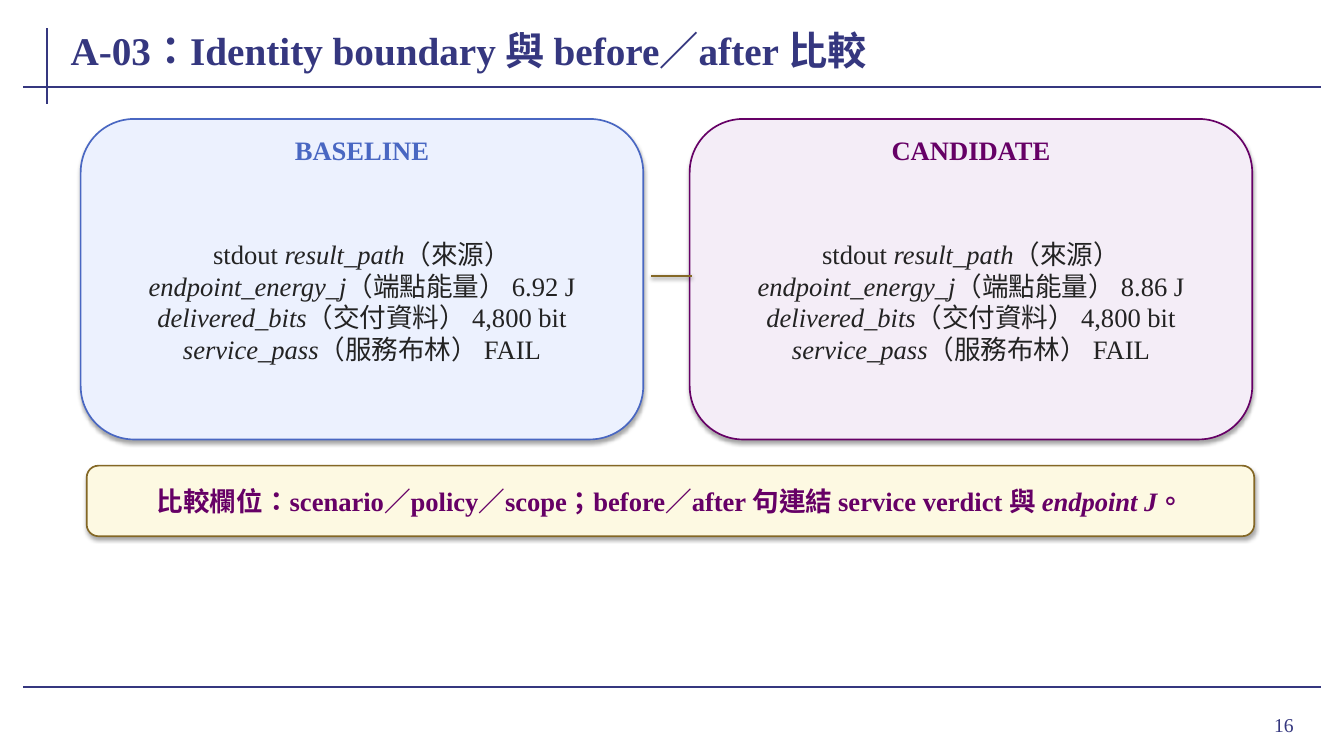
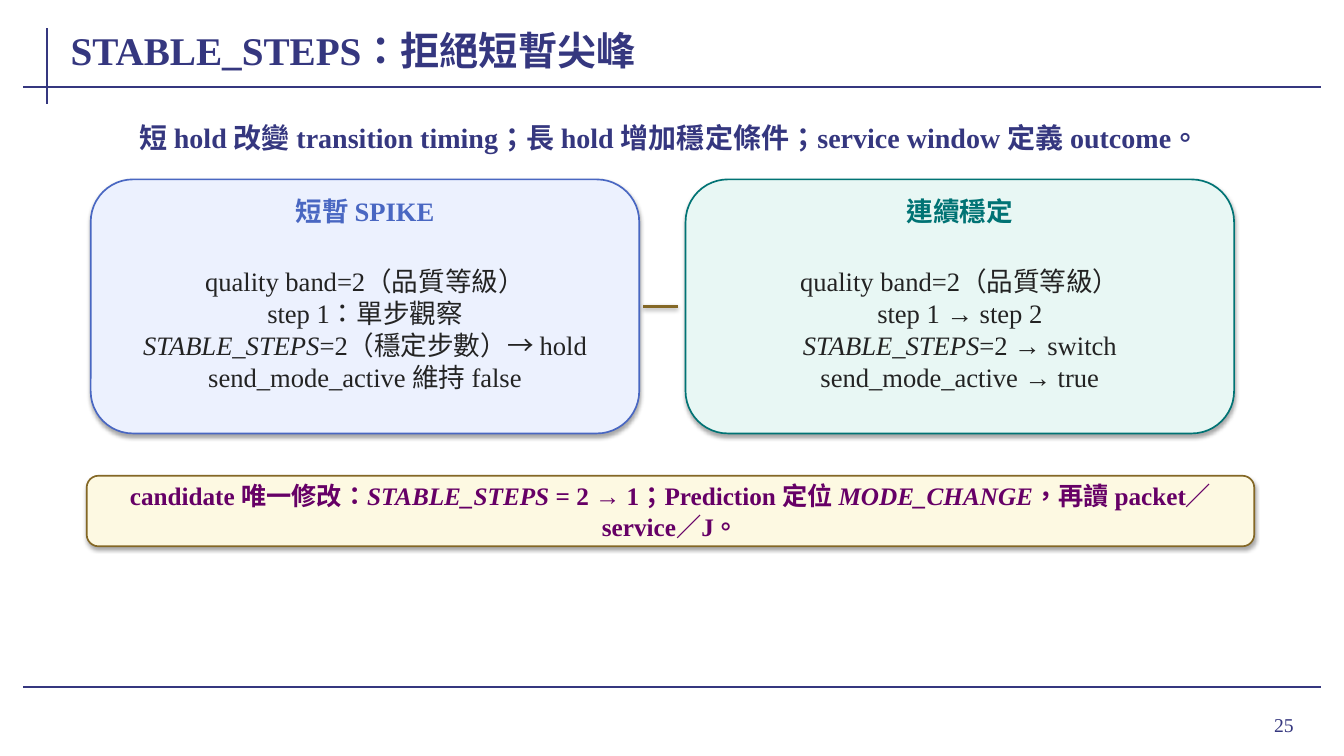
import pptx
import pptx.util
import pptx.dml.color
import pptx.enum.dml
import pptx.enum.lang
import pptx.enum.shapes
import pptx.enum.text
import pptx.oxml
import pptx.oxml.ns
from dataclasses import dataclass

Inches, Pt = pptx.util.Inches, pptx.util.Pt
RGB = pptx.dml.color.RGBColor.from_string
PP_ALIGN = pptx.enum.text.PP_ALIGN
AUTO_SIZE = pptx.enum.text.MSO_AUTO_SIZE


@dataclass(frozen=True)
class Theme:
    font: str = "Times New Roman"
    navy: str = "35377F"
    ink: str = "232323"
    blue: str = "4967C2"
    blue_fill: str = "ECF1FE"
    purple: str = "660066"
    purple_fill: str = "F4EDF7"
    teal: str = "007374"
    teal_fill: str = "E8F7F4"
    gold: str = "846826"
    gold_fill: str = "FDF9E2"
    title: int = 28
    lead: int = 20
    body: int = 19
    number: int = 14


T = Theme()


def write(sp, lines, size, color, bold=False, align=PP_ALIGN.CENTER, inset=(0.08, 0.04), fit=AUTO_SIZE.SHAPE_TO_FIT_TEXT):
    """Fill a shape with paragraphs; text between asterisks is italic."""
    tf = sp.text_frame
    tf.word_wrap = True
    tf.auto_size = fit
    tf.vertical_anchor = pptx.enum.text.MSO_ANCHOR.MIDDLE
    tf.margin_left = tf.margin_right = Inches(inset[0])
    tf.margin_top = tf.margin_bottom = Inches(inset[1])
    for i, line in enumerate(lines):
        p = tf.add_paragraph() if i else tf.paragraphs[0]
        p.alignment = align
        p.font.name, p.font.size, p.font.bold = T.font, Pt(size), bold
        p.font.color.rgb = RGB(color)
        p.font.language_id = pptx.enum.lang.MSO_LANGUAGE_ID.TRADITIONAL_CHINESE
        for j, piece in enumerate(line.split("*")):
            if piece:
                r = p.add_run()
                r.text = piece
                if j % 2:
                    r.font.italic = True


def outline(sp, color, width, shadow=None):
    """Set the line, then a downward shadow (opacity %, distance pt) or none."""
    sp.line.color.rgb = RGB(color)
    sp.line.width = Pt(width)
    effect = ""
    if shadow:
        opacity, distance = shadow
        effect = (f'<a:outerShdw blurRad="{Pt(3.1)}" dist="{Pt(distance)}" dir="5400000" rotWithShape="0">'
                  f'<a:srgbClr val="000000"><a:alpha val="{opacity * 1000}"/></a:srgbClr></a:outerShdw>')
    sp.element.spPr.append(pptx.oxml.parse_xml(
        f'<a:effectLst {pptx.oxml.ns.nsdecls("a")}>{effect}</a:effectLst>'))


# Slide content
slides = [
    dict(
        number="16", title="A-03：Identity boundary 與 before／after 比較", lead=None,
        left=0.8, top=1.18, width=5.58, height=3.18,
        link=(6.46, 6.86, 2.74),
        panels=[
            ("BASELINE", T.blue, T.blue_fill,
             ["stdout *result_path*（來源）", "*endpoint_energy_j*（端點能量） 6.92 J",
              "*delivered_bits*（交付資料） 4,800 bit", "*service_pass*（服務布林） FAIL"]),
            ("CANDIDATE", T.purple, T.purple_fill,
             ["stdout *result_path*（來源）", "*endpoint_energy_j*（端點能量） 8.86 J",
              "*delivered_bits*（交付資料） 4,800 bit", "*service_pass*（服務布林） FAIL"]),
        ],
        note="比較欄位：scenario／policy／scope；before／after 句連結 service verdict 與 *endpoint J*。",
        note_top=4.62, note_size=19),
    dict(
        number="25", title="STABLE_STEPS：拒絕短暫尖峰",
        lead="短 hold 改變 transition timing；長 hold 增加穩定條件；service window 定義 outcome。",
        left=0.9, top=1.78, width=5.44, height=2.52,
        link=(6.38, 6.72, 3.04),
        panels=[
            ("短暫 SPIKE", T.blue, T.blue_fill,
             ["quality band=2（品質等級）", "step 1：單步觀察",
              "*STABLE_STEPS*=2（穩定步數）→ hold", "send_mode_active 維持 false"]),
            ("連續穩定", T.teal, T.teal_fill,
             ["quality band=2（品質等級）", "step 1 → step 2",
              "*STABLE_STEPS*=2 → switch", "send_mode_active → true"]),
        ],
        note="candidate 唯一修改：*STABLE_STEPS* = 2 → 1；Prediction 定位 *MODE_CHANGE*，再讀 packet／service／J。",
        note_top=4.72, note_size=18),
]
PANEL_GAP = 0.46
ROUND_RECT = pptx.enum.shapes.MSO_SHAPE.ROUNDED_RECTANGLE
STRAIGHT = pptx.enum.shapes.MSO_CONNECTOR.STRAIGHT

prs = pptx.Presentation()
prs.slide_width, prs.slide_height = Inches(13.33), Inches(7.5)
layout = prs.slide_layouts[5]

# Title position, shared through the layout
sp = layout.placeholders[0]
sp.left, sp.top, sp.width, sp.height = (Inches(v) for v in (0.68, 0.18, 11.95, 0.62))

for n, d in enumerate(slides):
    s = prs.slides.add_slide(layout)

    # Rules, drawn once and moved to the layout
    if n == 0:
        for ends in [(0.47, 0.28, 0.47, 1.03), (0.23, 0.86, 13.1, 0.86), (0.23, 6.82, 13.1, 6.82)]:
            rule = s.shapes.add_connector(STRAIGHT, *(Inches(v) for v in ends))
            outline(rule, T.navy, 1.5)
            layout.shapes.element.append(rule.element)

    # Title and slide number
    write(s.shapes.title, [d["title"]], T.title, T.navy, True, PP_ALIGN.LEFT, (0.02, 0), AUTO_SIZE.NONE)
    sp = s.shapes.add_textbox(Inches(11.96), Inches(6.93), Inches(0.97), Inches(0.52))
    write(sp, [d["number"]], T.number, T.navy, align=PP_ALIGN.RIGHT, inset=(0.1, 0.05), fit=AUTO_SIZE.NONE)

    # Lead sentence
    if d["lead"]:
        sp = s.shapes.add_textbox(Inches(0.96), Inches(1.18), Inches(11.36), Inches(0.36))
        write(sp, [d["lead"]], T.lead, T.navy, True)

    # Two panels side by side
    top, w, h = d["top"], d["width"], d["height"]
    for i, (heading, color, fill, lines) in enumerate(d["panels"]):
        x = d["left"] + i * (w + PANEL_GAP)
        panel = s.shapes.add_shape(ROUND_RECT, Inches(x), Inches(top), Inches(w), Inches(h))
        panel.fill.solid()
        panel.fill.fore_color.rgb = RGB(fill)
        outline(panel, color, 1.2, (35, 1.8))
        sp = s.shapes.add_textbox(Inches(x + 0.18), Inches(top + 0.16), Inches(w - 0.36), Inches(0.3))
        write(sp, [heading], T.body, color, True, inset=(0.01, 0))
        sp = s.shapes.add_textbox(Inches(x + 0.2), Inches(top + 0.58), Inches(w - 0.4), Inches(h - 0.72))
        write(sp, lines, T.body, T.ink)

    # Link between the panels
    x1, x2, y = d["link"]
    link = s.shapes.add_connector(STRAIGHT, Inches(x1), Inches(y), Inches(x2), Inches(y))
    outline(link, T.gold, 1.8, (38, 1.6))

    # Note bar
    y = d["note_top"]
    bar = s.shapes.add_shape(ROUND_RECT, Inches(0.86), Inches(y), Inches(11.58), Inches(0.7))
    bar.fill.solid()
    bar.fill.fore_color.rgb = RGB(T.gold_fill)
    outline(bar, T.gold, 1.2, (35, 1.8))
    sp = s.shapes.add_textbox(Inches(1.04), Inches(y + 0.07), Inches(11.22), Inches(0.56))
    write(sp, [d["note"]], d["note_size"], T.purple, True, inset=(0.02, 0))

prs.save("out.pptx")
